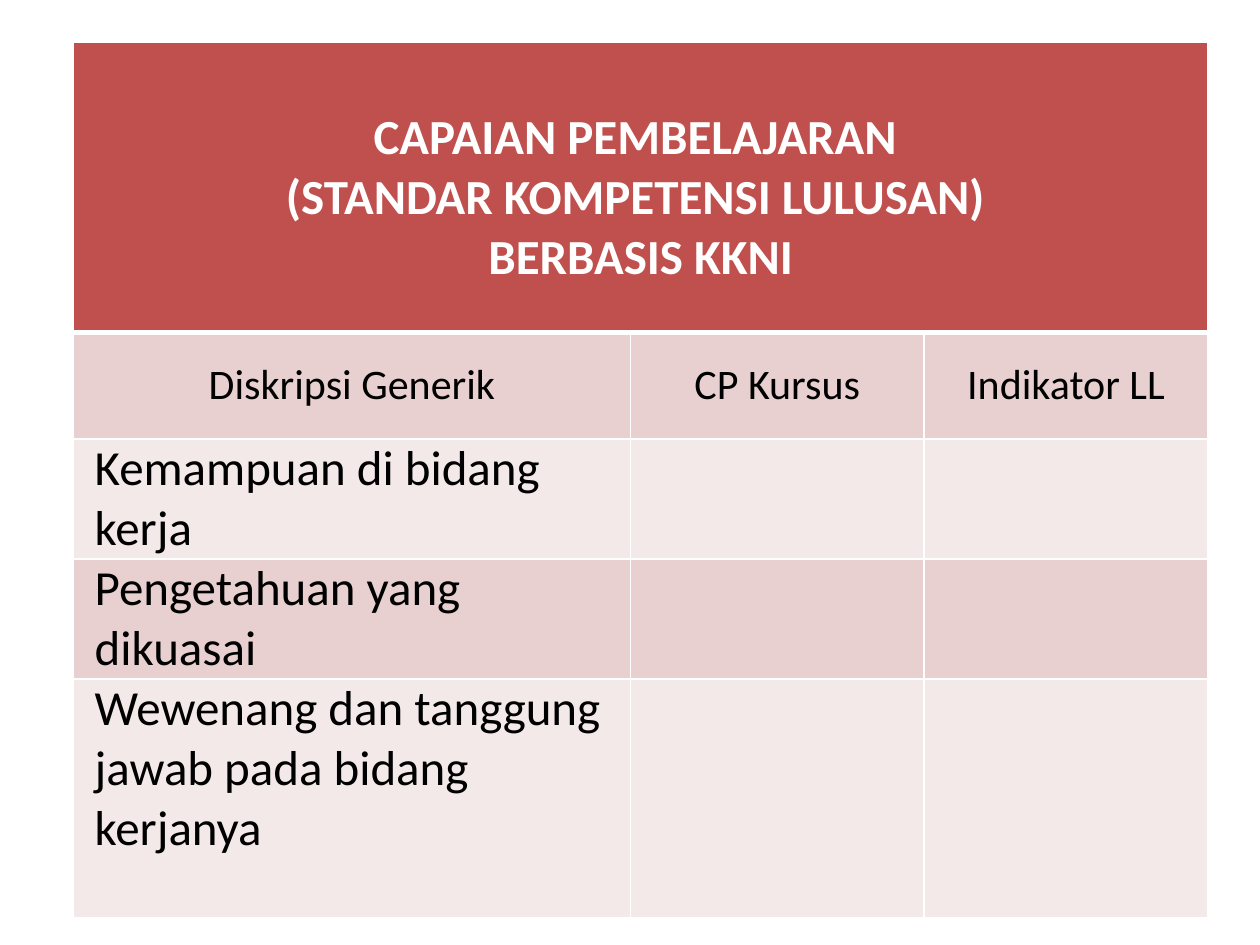
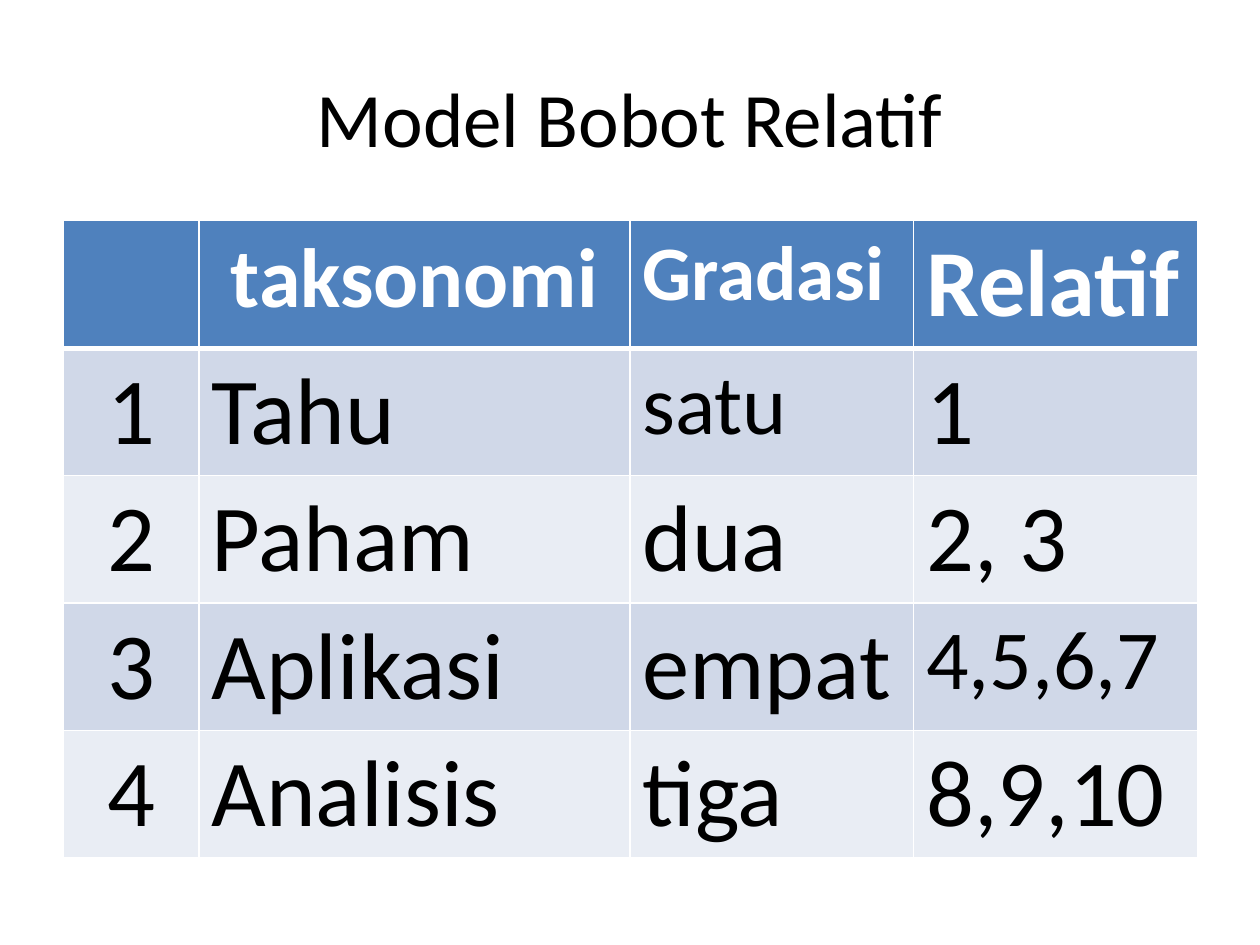
import pptx
import pptx.util
import pptx.dml.color
import pptx.enum.text
import pptx.oxml
import pptx.oxml.ns

Cm = pptx.util.Cm
CENTER = pptx.enum.text.PP_ALIGN.CENTER
LEFT = pptx.enum.text.PP_ALIGN.LEFT
MIDDLE = pptx.enum.text.MSO_ANCHOR.MIDDLE

# Shared colours, font and type sizes
theme = {
    "font": "Calibri",
    "ink": "000000",
    "white": "FFFFFF",
    "red": {"head": "C0504D", "bands": ("E8D0D0", "F4E9E9")},
    "blue": {"head": "4F81BD", "bands": ("D0D8E8", "E9EDF4")},
    "line": 1,
    "head_line": 3,
    "label": 24,
    "text": 28,
    "title": 44,
    "large": 48,
    "huge": 54,
}


def write(frame, text, size, color, bold=False, align=LEFT):
    """Write one paragraph for each line of text."""
    for number, line in enumerate(text.split("\n")):
        para = frame.paragraphs[0] if number == 0 else frame.add_paragraph()
        para.alignment = align
        span = para.add_run()
        span.text = line
        formats = {"name": theme["font"], "size": pptx.util.Pt(size), "bold": bold}
        for name, value in formats.items():
            setattr(span.font, name, value)
        span.font.color.rgb = pptx.dml.color.RGBColor.from_string(color)


def add_grid(page, left, top, widths, heights, colors):
    """Add a table with white rules, a coloured head and two row bands."""
    width, height = Cm(sum(widths)), Cm(sum(heights))
    grid = page.shapes.add_table(
        len(heights), len(widths), Cm(left), Cm(top), width, height).table
    for column, size in zip(grid.columns, widths):
        column.width = Cm(size)
    for number, (row, size) in enumerate(zip(grid.rows, heights)):
        row.height = Cm(size)
        color = colors["bands"][(number - 1) % 2] if number else colors["head"]
        for cell in row.cells:
            properties = cell._tc.get_or_add_tcPr()
            for side in "LRTB":
                under_head = (number, side) in ((0, "B"), (1, "T"))
                points = theme["head_line"] if under_head else theme["line"]
                properties.append(pptx.oxml.parse_xml(
                    f'<a:ln{side} {pptx.oxml.ns.nsdecls("a")} w="{pptx.util.Pt(points)}">'
                    f'<a:solidFill><a:srgbClr val="{theme["white"]}"/></a:solidFill>'
                    f'</a:ln{side}>'))
            cell.fill.solid()
            cell.fill.fore_color.rgb = pptx.dml.color.RGBColor.from_string(color)
    return grid


deck = pptx.Presentation()
deck.slide_width, deck.slide_height = Cm(25.4), Cm(19.05)
blank = deck.slide_layouts[6]

# Slide 1: learning outcomes
page = deck.slides.add_slide(blank)
outcomes = add_grid(page, 1.48, 0.85, (11.23, 5.92, 5.72),
                    (5.85, 2.15, 2.42, 2.42, 4.82), theme["red"])
heading = outcomes.cell(0, 0)
heading.merge(outcomes.cell(0, 2))
heading.margin_top = Cm(1.33)
write(heading.text_frame,
      "CAPAIAN PEMBELAJARAN \n(STANDAR KOMPETENSI LULUSAN) \nBERBASIS KKNI",
      theme["text"], theme["white"], True, CENTER)

labels = ("Diskripsi Generik", "CP Kursus", "Indikator LL")
for column, label in enumerate(labels):
    cell = outcomes.cell(1, column)
    formats = {"vertical_anchor": MIDDLE, "margin_left": Cm(0.18),
               "margin_right": Cm(0.18), "margin_top": 0, "margin_bottom": 0}
    for name, value in formats.items():
        setattr(cell, name, value)
    write(cell.text_frame, label, theme["label"], theme["ink"], align=CENTER)

descriptions = (
    "Kemampuan di bidang kerja",
    "Pengetahuan yang dikuasai",
    "Wewenang dan tanggung jawab pada bidang kerjanya",
)
for row, description in enumerate(descriptions, 2):
    cell = outcomes.cell(row, 0)
    formats = {"margin_left": Cm(0.43), "margin_right": Cm(0.18),
               "margin_top": 0, "margin_bottom": 0}
    for name, value in formats.items():
        setattr(cell, name, value)
    write(cell.text_frame, description, theme["text"], theme["ink"])

# Slide 2: title
page = deck.slides.add_slide(blank)
box = page.shapes.add_textbox(Cm(1.27), Cm(0.76), Cm(22.86), Cm(3.18))
box.text_frame.word_wrap = True
box.text_frame.vertical_anchor = MIDDLE
write(box.text_frame, "Model Bobot Relatif", theme["title"], theme["ink"], align=CENTER)

# Slide 2: relative weights
weights = add_grid(page, 1.27, 4.45, (2.74, 8.69, 5.72, 5.72), [2.57] * 5, theme["blue"])
levels = (
    ("", "taksonomi", "Gradasi", "Relatif"),
    ("1", "Tahu", "satu", "1"),
    ("2", "Paham", "dua", "2, 3"),
    ("3", "Aplikasi", "empat", "4,5,6,7"),
    ("4", "Analisis", "tiga", "8,9,10"),
)
special_sizes = {"taksonomi": theme["large"], "Gradasi": theme["title"],
                 "satu": theme["large"], "4,5,6,7": theme["large"]}
for row, level in enumerate(levels):
    for column, text in enumerate(level):
        if not text:
            continue
        centered = column == 0 or (row, column) == (0, 1)
        write(weights.cell(row, column).text_frame, text,
              special_sizes.get(text, theme["huge"]),
              theme["ink"] if row else theme["white"], row == 0,
              CENTER if centered else LEFT)

deck.save("out.pptx")
